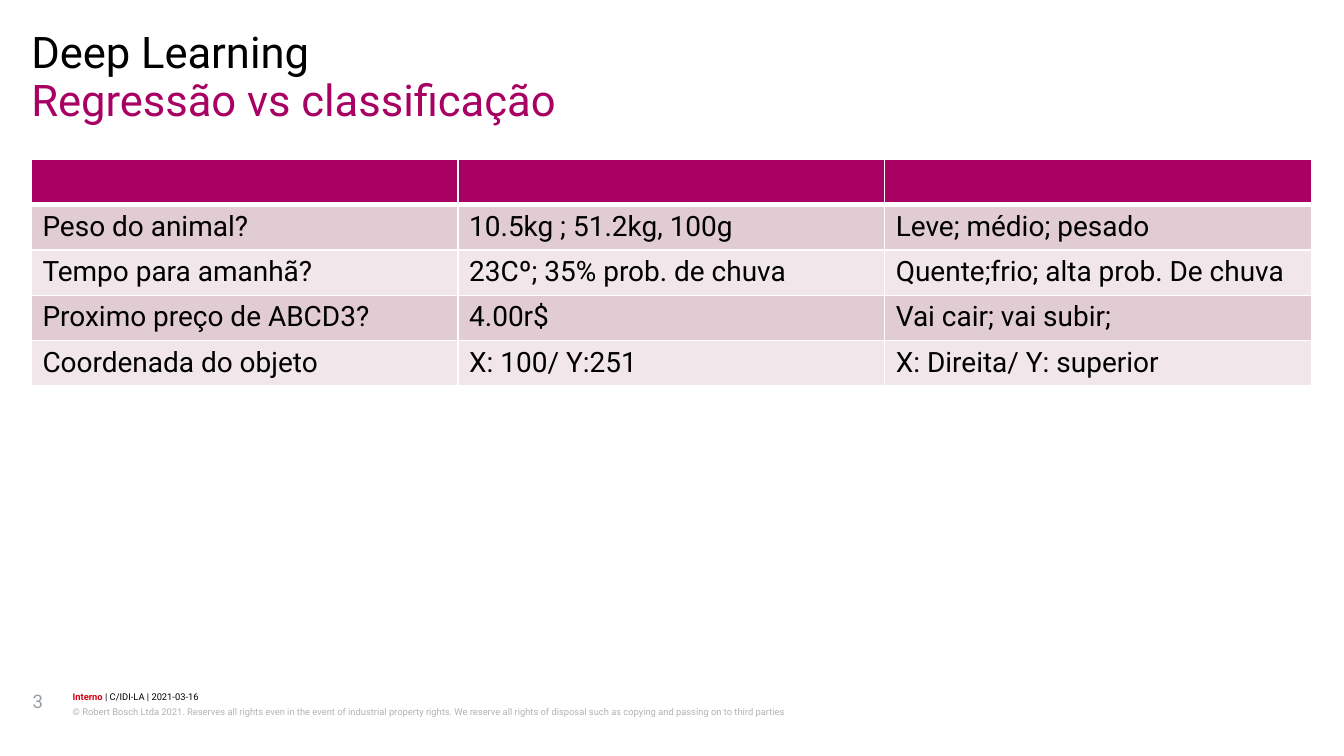
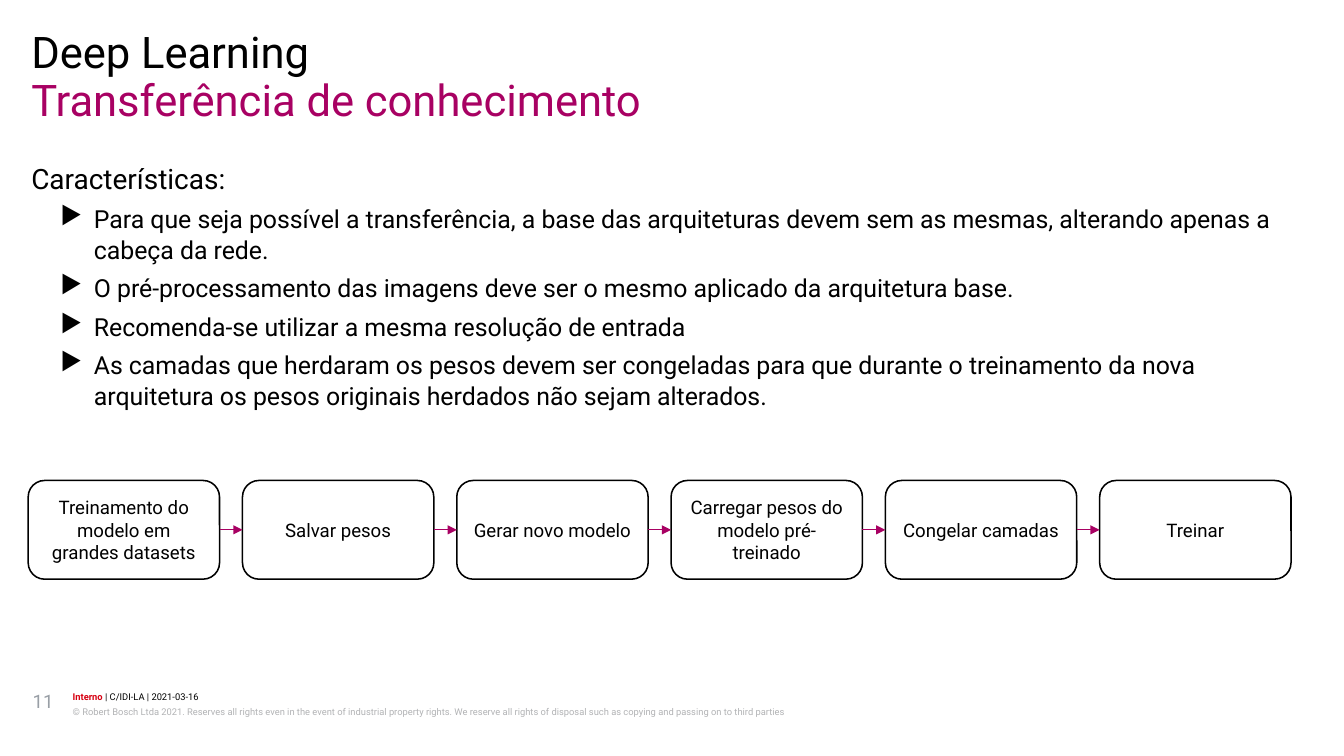
from itertools import pairwise

from lxml import etree
from pptx import Presentation
from pptx.dml.color import RGBColor
from pptx.enum.shapes import MSO_CONNECTOR, MSO_SHAPE
from pptx.enum.text import MSO_ANCHOR, PP_ALIGN
from pptx.oxml.ns import qn
from pptx.util import Cm, Pt

CENTER = PP_ALIGN.CENTER
MIDDLE = MSO_ANCHOR.MIDDLE
ROUNDED = MSO_SHAPE.ROUNDED_RECTANGLE
STRAIGHT = MSO_CONNECTOR.STRAIGHT

MAGENTA = RGBColor(0xA8, 0x01, 0x63)
BLACK = RGBColor(0, 0, 0)
WHITE = RGBColor(0xFF, 0xFF, 0xFF)
RED = RGBColor(0xD7, 0x00, 0x12)
NUMBER_GRAY = RGBColor(0x99, 0x9F, 0xA6)
LEGAL_GRAY = RGBColor(0xB2, 0xB3, 0xB5)
BAND_DARK = RGBColor(0xE1, 0xCC, 0xD3)
BAND_LIGHT = RGBColor(0xF1, 0xE7, 0xEA)

LEFT, WIDTH = Cm(0.71), Cm(29.03)
CONTENT_TOP = Cm(3.61)
COPYRIGHT = (
    "© Robert Bosch Ltda 2021. Reserves all rights even in the event of industrial "
    "property rights. We reserve all rights of disposal such as copying and passing "
    "on to third parties"
)
COMPARISON = [
    ("", "", ""),
    ("Peso do animal?", "10.5kg ; 51.2kg, 100g", "Leve; médio; pesado"),
    ("Tempo para amanhã?", "23Cº; 35% prob. de chuva", "Quente;frio; alta prob. De chuva"),
    ("Proximo preço de ABCD3?", "4.00r$", "Vai cair; vai subir;"),
    ("Coordenada do objeto", "X: 100/ Y:251", "X: Direita/ Y: superior"),
]
CHARACTERISTICS = [
    "Para que seja possível a transferência, a base das arquiteturas devem sem as mesmas, "
    "alterando apenas a cabeça da rede.",
    "O pré-processamento das imagens deve ser o mesmo aplicado da arquitetura base.",
    "Recomenda-se utilizar a mesma resolução de entrada",
    "As camadas que herdaram os pesos devem ser congeladas para que durante o treinamento "
    "da nova arquitetura os pesos originais herdados não sejam alterados.",
]
STEPS = [
    "Treinamento do modelo em grandes datasets",
    "Salvar pesos",
    "Gerar novo modelo",
    "Carregar pesos do modelo pré- treinado",
    "Congelar camadas",
    "Treinar",
]


class Deck:
    """Holds the shared style and the slide being built."""

    font = "Roboto"

    def __init__(self):
        self.presentation = Presentation()
        self.presentation.slide_width = Cm(30.48)
        self.presentation.slide_height = Cm(17.15)
        self.slide = None

    def apply(self, target, values):
        for name, value in values.items():
            setattr(target, name, value)

    def add_text(self, paragraph, text, size, color, bold=False, **layout):
        self.apply(paragraph, layout)
        run = paragraph.add_run()
        run.text = text
        self.apply(run.font, {"name": self.font, "size": Pt(size), "bold": bold})
        run.font.color.rgb = color

    def text_frame(self, left, top, width, height):
        frame = self.slide.shapes.add_textbox(left, top, width, height).text_frame
        margins = ("margin_left", "margin_top", "margin_right", "margin_bottom")
        self.apply(frame, {"word_wrap": True, **dict.fromkeys(margins, 0)})
        return frame

    def label(self, box, *args, **layout):
        paragraph = self.text_frame(*box).paragraphs[0]
        self.add_text(paragraph, *args, **layout)
        return paragraph

    def start_slide(self, topic, number):
        self.slide = self.presentation.slides.add_slide(self.presentation.slide_layouts[6])
        footer_left, footer_width = Cm(1.65), Cm(25.43)
        status = self.label((footer_left, Cm(15.67), footer_width, Cm(0.3)),
                            "Interno", 6, RED, True, line_spacing=1.07, space_after=Pt(1))
        self.add_text(status, " | C/IDI-LA | 2021-03-16", 6, BLACK)
        self.label((footer_left, Cm(15.98), footer_width, Cm(0.61)),
                   COPYRIGHT, 6, LEGAL_GRAY, line_spacing=1.2, space_after=Pt(1))
        self.label((LEFT, Cm(1.8), WIDTH, Cm(1.09)), topic, 28, MAGENTA, line_spacing=0.89)
        self.label((LEFT, Cm(0.71), WIDTH, Cm(1.09)), "Deep Learning", 28, BLACK,
                   line_spacing=0.89)
        self.label((Cm(0.74), Cm(15.65), Cm(0.81), Cm(1.14)), str(number), 12, NUMBER_GRAY)

    def cell_borders(self, cell, widths):
        properties = cell._tc.get_or_add_tcPr()
        for position, (side, width) in enumerate(widths.items()):
            line = etree.Element(qn(f"a:ln{side}"), w=str(Pt(width)))
            fill = etree.SubElement(line, qn("a:solidFill"))
            etree.SubElement(fill, qn("a:srgbClr"), val=str(WHITE))
            properties.insert(position, line)

    def table(self, rows):
        grid = self.slide.shapes.add_table(len(rows), len(rows[0]), LEFT, CONTENT_TOP,
                                           WIDTH, Cm(5.15)).table
        for r, row in enumerate(rows):
            for c, text in enumerate(row):
                cell = grid.cell(r, c)
                cell.fill.solid()
                cell.fill.fore_color.rgb = (
                    MAGENTA if r == 0 else BAND_DARK if r % 2 else BAND_LIGHT)
                self.cell_borders(cell, {"L": 1, "R": 1, "T": 3 if r == 1 else 1,
                                         "B": 3 if r == 0 else 1})
                if text:
                    self.add_text(cell.text_frame.paragraphs[0], text, 18, BLACK)

    def bullets(self, heading, items):
        frame = self.text_frame(LEFT, CONTENT_TOP, WIDTH, Cm(11.58))
        self.add_text(frame.paragraphs[0], heading, 18, BLACK, line_spacing=1.07)
        for item in items:
            paragraph = frame.add_paragraph()
            self.add_text(paragraph, item, 16, BLACK, level=1, line_spacing=1.03,
                          space_before=Pt(5))
            properties = paragraph._p.get_or_add_pPr()
            properties.set("marL", str(Cm(1.42)))
            properties.set("indent", str(Cm(-0.76)))
            etree.SubElement(properties, qn("a:buChar"), char="▶")

    def step(self, text, left):
        box = self.slide.shapes.add_shape(ROUNDED, left, Cm(10.9), Cm(4.34), Cm(2.24))
        box.shadow.inherit = False
        box.fill.solid()
        box.fill.fore_color.rgb = WHITE
        box.line.color.rgb = BLACK
        box.line.width = Pt(1)
        self.apply(box.text_frame, {"word_wrap": True, "vertical_anchor": MIDDLE})
        self.add_text(box.text_frame.paragraphs[0], text, 12, BLACK, alignment=CENTER)
        return box

    def arrow(self, source, target):
        link = self.slide.shapes.add_connector(STRAIGHT, 0, 0, 0, 0)
        link.begin_connect(source, 3)
        link.end_connect(target, 1)
        link.line.color.rgb = MAGENTA
        link.line.width = Pt(0.5)
        etree.SubElement(link.line._get_or_add_ln(), qn("a:tailEnd"), type="triangle")
        etree.SubElement(link._element.spPr, qn("a:effectLst"))

    def flow(self, steps):
        boxes = [self.step(text, Cm(0.64 + 4.86 * i)) for i, text in enumerate(steps)]
        for source, target in pairwise(boxes):
            self.arrow(source, target)


def main():
    deck = Deck()
    deck.start_slide("Regressão vs classificação", 3)
    deck.table(COMPARISON)
    deck.start_slide("Transferência de conhecimento", 11)
    deck.bullets("Características:", CHARACTERISTICS)
    deck.flow(STEPS)
    deck.presentation.save("out.pptx")


if __name__ == "__main__":
    main()
